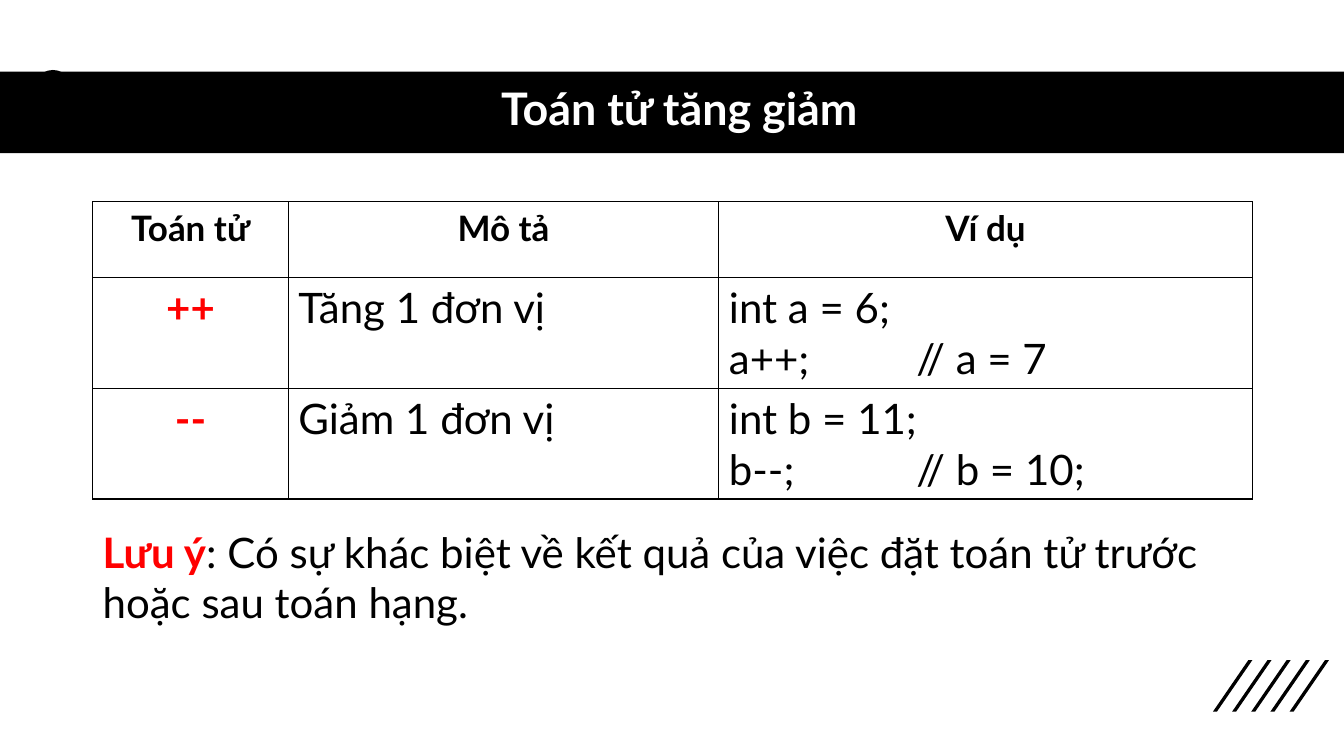
from dataclasses import dataclass
from lxml.etree import SubElement as Sub
from pptx import Presentation
from pptx.dml.color import RGBColor as Rgb
from pptx.enum.shapes import MSO_SHAPE as Kind
from pptx.enum.text import MSO_ANCHOR as Anchor, PP_ALIGN as Align
from pptx.oxml.ns import qn
from pptx.util import Inches, Pt


@dataclass(frozen=True)
class Theme:
    """Colours, font and type sizes of the slide."""
    font: str = "Lato"
    ink: str = "000000"
    paper: str = "FFFFFF"
    mark: str = "FF0000"
    mint: str = "CFF7E1"
    title: int = 32
    head: int = 25
    body: int = 30


class Deck:
    """Draws each kind of element on the current slide."""

    def __init__(self, theme):
        self.theme = theme
        self.file = Presentation()
        self.file.slide_width = Inches(13.33)
        self.file.slide_height = Inches(7.5)
        self.slide = self.file.slides.add_slide(self.file.slide_layouts[6])

    def paint(self, shape, fill, line=None):
        shape.shadow.inherit = False
        shape.fill.solid()
        shape.fill.fore_color.rgb = Rgb.from_string(fill)
        if line:
            shape.line.color.rgb = Rgb.from_string(self.theme.ink)
            shape.line.width = Pt(line)
        else:
            shape.line.fill.background()

    def shape(self, kind, box, fill, line=None):
        item = self.slide.shapes.add_shape(kind, *map(Inches, box))
        self.paint(item, fill, line)

    def slash(self, left, top):
        spots = [(0.04, 0.51), (0, 0.51), (0.35, 0), (0.39, 0)]
        spots = [(Inches(left + x), Inches(top + y)) for x, y in spots]
        form = self.slide.shapes.build_freeform(*spots[0])
        form.add_line_segments(spots[1:], close=True)
        self.paint(form.convert_to_shape(), self.theme.ink)

    def words(self, frame, lines, size, align=Align.LEFT, tab=None):
        for i, runs in enumerate(lines):
            para = frame.add_paragraph() if i else frame.paragraphs[0]
            para.alignment = align
            if tab:
                stops = Sub(para._p.get_or_add_pPr(), qn("a:tabLst"))
                Sub(stops, qn("a:tab"), pos=str(Inches(tab)), algn="l")
            for text, tone, bold in runs:
                run = para.add_run()
                run.text = text
                run.font.name = self.theme.font
                run.font.size = Pt(size)
                run.font.bold = bold
                run.font.color.rgb = Rgb.from_string(tone)

    def text(self, box, lines, size, align=Align.LEFT, anchor=Anchor.TOP, space=1.0):
        frame = self.slide.shapes.add_textbox(*map(Inches, box)).text_frame
        frame.word_wrap = True
        frame.vertical_anchor = anchor
        self.words(frame, lines, size, align)
        for para in frame.paragraphs:
            para.line_spacing = space

    def cell(self, cell):
        props = cell._tc.get_or_add_tcPr()
        for side in "LRTB":
            line = Sub(props, qn(f"a:ln{side}"), w=str(Pt(1)))
            fill = Sub(line, qn("a:solidFill"))
            Sub(fill, qn("a:srgbClr"), val=self.theme.ink)
        cell.fill.solid()
        cell.fill.fore_color.rgb = Rgb.from_string(self.theme.paper)

    def table(self, left, top, wide, high, rows):
        box = map(Inches, (left, top, sum(wide), sum(high)))
        grid = self.slide.shapes.add_table(len(high), len(wide), *box).table
        for col, size in zip(grid.columns, wide):
            col.width = Inches(size)
        for row, size in zip(grid.rows, high):
            row.height = Inches(size)
        look = self.theme
        for r, row in enumerate(rows):
            for c, lines in enumerate(row):
                cell = grid.cell(r, c)
                self.cell(cell)
                bold = r == 0 or c == 0
                tone = look.mark if r and c == 0 else look.ink
                self.words(cell.text_frame, [[(line, tone, bold)] for line in lines],
                           look.body if r else look.head,
                           Align.CENTER if bold else Align.LEFT,
                           1.86 if r and c == 2 else None)


def main():
    """Build the slide on increment and decrement operators."""
    look = Theme()
    deck = Deck(look)
    for i in range(5):
        deck.slash(12.03 + 0.19 * i, 6.55)
    deck.shape(Kind.OVAL, (0.35, 0.71, 0.35, 0.35), look.mint, 2.25)
    deck.shape(Kind.RECTANGLE, (0, 0.71, 13.33, 0.81), look.ink)
    deck.text((0.61, 0.7, 12.26, 0.81), [[("Toán tử tăng giảm", look.paper, True)]],
              look.title, Align.CENTER, Anchor.MIDDLE, 0.9)
    deck.table(0.92, 2, (1.94, 4.27, 5.29), (0.75, 1.1, 1.1), [
        [["Toán tử"], ["Mô tả"], ["Ví dụ"]],
        [["++"], ["Tăng 1 đơn vị"], ["int a = 6;", "a++;\t// a = 7"]],
        [["--"], ["Giảm 1 đơn vị"], ["int b = 11;", "b--;\t// b = 10;"]],
    ])
    note = ": Có sự khác biệt về kết quả của việc đặt toán tử trước hoặc sau toán hạng."
    deck.text((0.92, 5.17, 11.5, 1.11),
              [[("Lưu ý", look.mark, True), (note, look.ink, False)]], look.body)
    deck.file.save("out.pptx")


if __name__ == "__main__":
    main()
